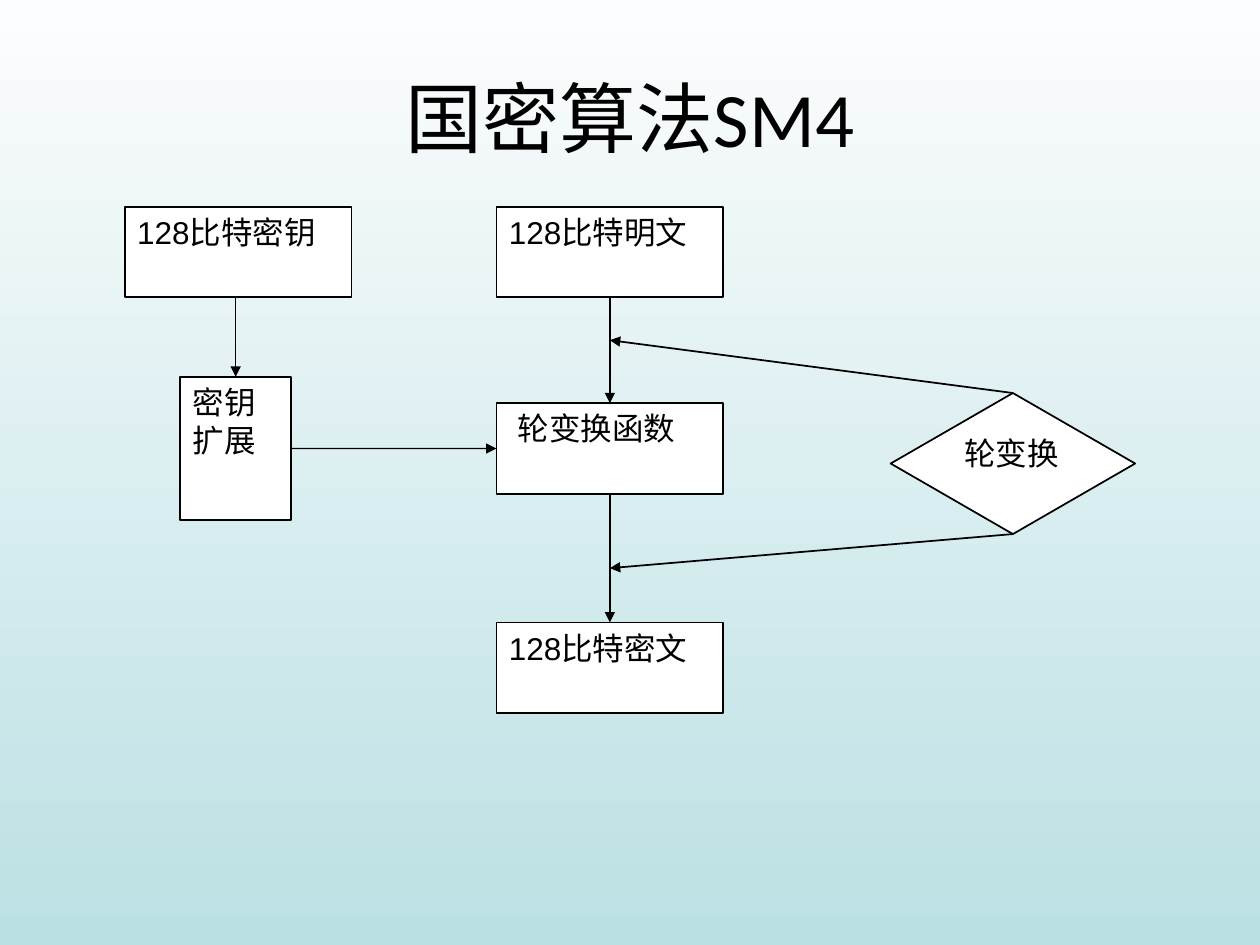
from dataclasses import dataclass
from typing import Optional

from lxml.etree import SubElement
from pptx import Presentation
from pptx.dml.color import RGBColor
from pptx.enum.shapes import MSO_CONNECTOR as Conn, MSO_SHAPE as Shp
from pptx.enum.text import MSO_ANCHOR as Anchor, PP_ALIGN as Align
from pptx.oxml.ns import qn
from pptx.util import Pt

BLACK = RGBColor(0x00, 0x00, 0x00)
WHITE = RGBColor(0xFF, 0xFF, 0xFF)
BG_STOPS = (RGBColor(0xFC, 0xFD, 0xFE), RGBColor(0xBB, 0xE0, 0xE3))

TOP, LEFT, BOTTOM, RIGHT = range(4)  # connection sites
BOX_W, BOX_H = 129.6, 51.8
MAIN_X = 283.7
BOX_FRAME = dict(word_wrap=True, vertical_anchor=Anchor.TOP, margin_right=Pt(7.2),
                 margin_top=Pt(3.6), margin_bottom=Pt(3.6))
BOX_FONT = dict(name="Arial", size=Pt(18), bold=False)
TITLE_FONT = dict(name="Calibri", size=Pt(44), bold=False)


@dataclass
class Node:
    text: str
    x: float
    y: float
    w: float = BOX_W
    h: float = BOX_H
    kind: Shp = Shp.RECTANGLE
    inset: float = 7.2


@dataclass
class Arrow:
    start: tuple[float, float]
    end: tuple[float, float]
    width: float = 0.75
    source: Optional[tuple[str, int]] = None
    target: Optional[tuple[str, int]] = None


NODES = {
    "key": Node("128比特密钥", 71.3, 118.1),
    "expand": Node("密钥扩展", 103, 215.3, 63.4, 82.1),
    "plain": Node("128比特明文", MAIN_X, 118.1),
    "round": Node("轮变换函数", MAIN_X, 230.4, inset=12.2),
    "cipher": Node("128比特密文", MAIN_X, 355.7),
    "loop": Node("轮变换", 509, 224.6, 139.7, 80.6, Shp.DIAMOND),
}
MAIN_MID = MAIN_X + BOX_W / 2
KEY_MID = 134.7
ARROWS = [
    Arrow((KEY_MID, 169.9), (KEY_MID, 215.3), target=("expand", TOP)),
    Arrow((166.4, 256.3), (MAIN_X, 256.3),
          source=("expand", RIGHT), target=("round", LEFT)),
    Arrow((MAIN_MID, 169.9), (MAIN_MID, 230.4),
          source=("plain", BOTTOM), target=("round", TOP)),
    Arrow((MAIN_MID, 282.2), (MAIN_MID, 355.7),
          source=("round", BOTTOM), target=("cipher", TOP)),
    Arrow((578.9, 224.6), (MAIN_MID, 194.4), 1, source=("loop", TOP)),
    Arrow((578.9, 305.2), (MAIN_MID, 324.7), 1, source=("loop", BOTTOM)),
]


def set_all(target, values: dict) -> None:
    for name, value in values.items():
        setattr(target, name, value)


def write(tf, text: str, align: Align, font: dict) -> None:
    p = tf.paragraphs[0]
    p.alignment = align
    r = p.add_run()
    r.text = text
    set_all(r.font, font)
    r.font.color.rgb = BLACK


def add_node(shapes, node: Node):
    sp = shapes.add_shape(node.kind, Pt(node.x), Pt(node.y), Pt(node.w), Pt(node.h))
    sp.shadow.inherit = False
    sp.fill.solid()
    sp.fill.fore_color.rgb = WHITE
    sp.line.color.rgb = BLACK
    sp.line.width = Pt(1)
    set_all(sp.text_frame, BOX_FRAME)
    sp.text_frame.margin_left = Pt(node.inset)
    write(sp.text_frame, node.text, Align.LEFT, BOX_FONT)
    return sp


def add_arrow(shapes, arrow: Arrow, boxes: dict) -> None:
    ends = [Pt(v) for v in (*arrow.start, *arrow.end)]
    cxn = shapes.add_connector(Conn.STRAIGHT, *ends)
    if arrow.source:
        name, site = arrow.source
        cxn.begin_connect(boxes[name], site)
    if arrow.target:
        name, site = arrow.target
        cxn.end_connect(boxes[name], site)
    cxn.line.color.rgb = BLACK
    cxn.line.width = Pt(arrow.width)
    ln = cxn.line._get_or_add_ln()
    SubElement(ln, qn("a:tailEnd"), type="triangle")
    SubElement(ln.getparent(), qn("a:effectLst"))


def main() -> None:
    prs = Presentation()
    prs.slide_width, prs.slide_height = Pt(720), Pt(540)
    slide = prs.slides.add_slide(prs.slide_layouts[5])

    # Background, light at the top
    fill = slide.background.fill
    fill.gradient()
    fill.gradient_angle = 270
    for stop, color in zip(fill.gradient_stops, BG_STOPS):
        stop.color.rgb = color

    # Title
    title = slide.shapes.title
    set_all(title, dict(left=Pt(36), top=Pt(21.6), width=Pt(648), height=Pt(90)))
    title.text_frame.vertical_anchor = Anchor.MIDDLE
    write(title.text_frame, "国密算法SM4", Align.CENTER, TITLE_FONT)

    # Flowchart
    boxes = {name: add_node(slide.shapes, node) for name, node in NODES.items()}
    for arrow in ARROWS:
        add_arrow(slide.shapes, arrow, boxes)

    prs.save("out.pptx")


if __name__ == "__main__":
    main()
